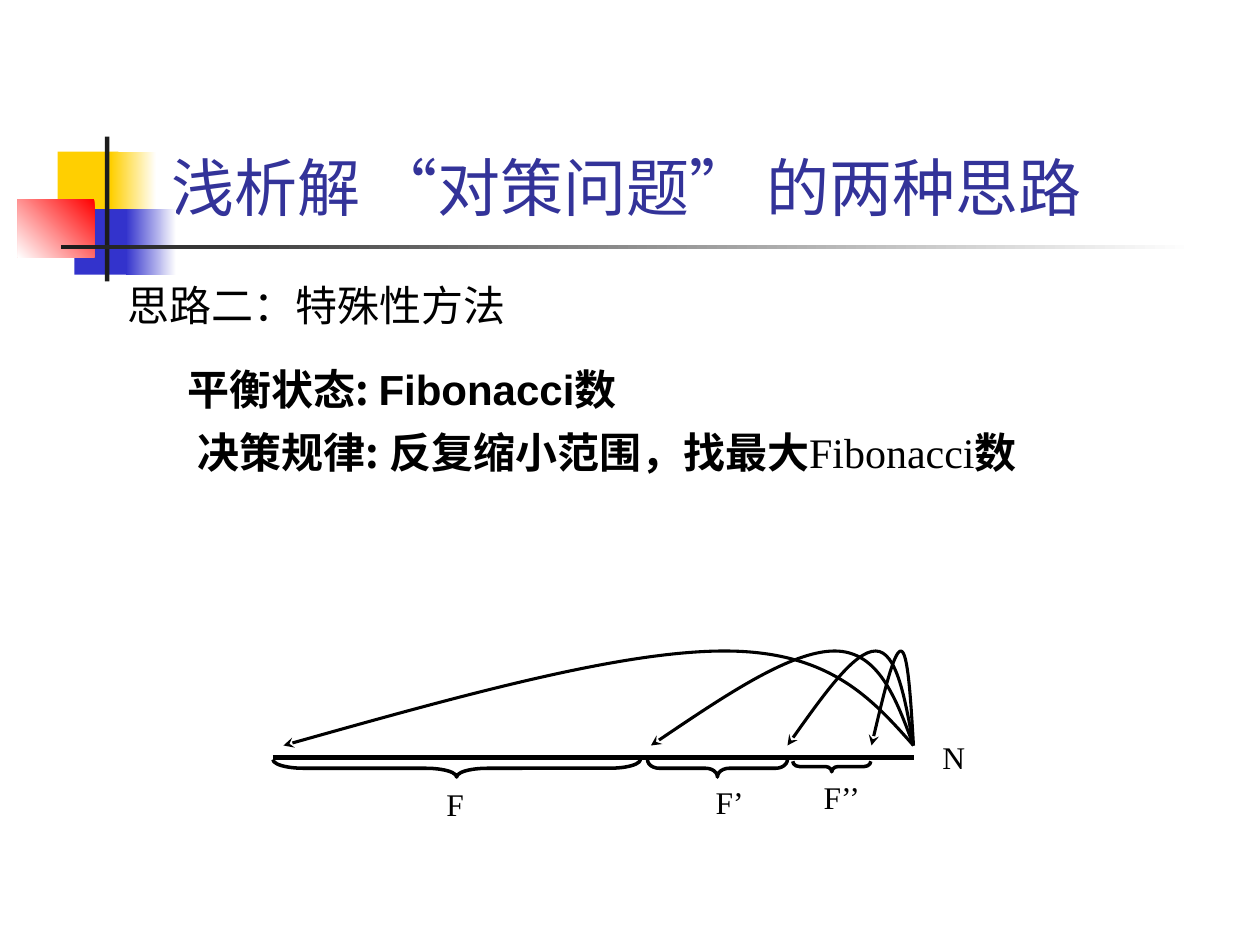
import pptx
import pptx.dml.color
import pptx.enum.dml
import pptx.enum.shapes
import pptx.enum.text
import pptx.oxml
import pptx.oxml.ns
import pptx.util
from pptx.util import Pt

SHAPE = pptx.enum.shapes.MSO_SHAPE
ALIGN = pptx.enum.text.PP_ALIGN
CJK = "Noto Sans CJK SC"
SERIF = "Times New Roman"
BLACK = "000000"


def color(value):
    return pptx.dml.color.RGBColor.from_string(value)


def format_run(run, font, size, fill=BLACK, bold=False):
    run.font.name = font
    run.font.size = Pt(size)
    run.font.bold = bold
    run.font.color.rgb = color(fill)
    east_asian = pptx.oxml.parse_xml(
        f'<a:ea {pptx.oxml.ns.nsdecls("a")} typeface="{CJK}"/>')
    run.font._element.find(pptx.oxml.ns.qn("a:latin")).addnext(east_asian)


def style_line(line, width):
    line.color.rgb = color(BLACK)
    line.width = Pt(width)


def add_text(slide, left, top, width, height, runs, size, align=ALIGN.LEFT, indent=0):
    """Runs are (text, font, bold)."""
    frame = slide.shapes.add_textbox(Pt(left), Pt(top), Pt(width), Pt(height)).text_frame
    frame.word_wrap = True
    paragraph = frame.paragraphs[0]
    paragraph.alignment = align
    if indent:
        paragraph._p.get_or_add_pPr().set("marL", str(Pt(indent)))
    for text, font, bold in runs:
        run = paragraph.add_run()
        run.text = text
        format_run(run, font, size, bold=bold)


def add_block(slide, left, top, width, height, fill, end=None, angle=180):
    """A borderless rectangle, plain or fading from fill to end."""
    shape = slide.shapes.add_shape(SHAPE.RECTANGLE, Pt(left), Pt(top), Pt(width), Pt(height))
    shape.shadow.inherit = False
    shape.line.fill.background()
    if end is None:
        shape.fill.solid()
        shape.fill.fore_color.rgb = color(fill)
    else:
        shape.fill.gradient()
        shape.fill.gradient_angle = angle
        for stop, value in zip(shape.fill.gradient_stops, (fill, end)):
            stop.color.rgb = color(value)


def add_ornament(slide, left, top):
    blocks = [
        (23, 8.6, 34.6, 37.4, "FFCF01"),
        (53.4, 8.6, 25.9, 37.4, "FFFFFF", "FFCF01"),
        (32.5, 41.5, 33.1, 37.4, "3333CC"),
        (62, 41.5, 28.8, 37.4, "FFFFFF", "3333CC"),
        (0, 35.8, 43.9, 33.1, "FF0000", "FFFFFF", 225),
        (50, 0, 2.5, 82.8, "1C1C1C"),
        (24.6, 62, 648, 2.5, "FFFFFF", "1C1C1C"),
    ]
    for x, y, *rest in blocks:
        add_block(slide, left + x, top + y, *rest)


def add_title(slide, left, top, width, height):
    title = slide.shapes.title
    title.left, title.top, title.width, title.height = map(Pt, (left, top, width, height))
    frame = title.text_frame
    frame.text = "浅析解 “对策问题” 的两种思路"
    frame.word_wrap = True
    frame.vertical_anchor = pptx.enum.text.MSO_ANCHOR.BOTTOM
    paragraph = frame.paragraphs[0]
    paragraph.alignment = ALIGN.LEFT
    format_run(paragraph.runs[0], "Karla", 36, "333399")


def add_statements(slide, left, top):
    add_text(slide, left, top, 462, 36, [("思路二：特殊性方法", SERIF, False)], 24)
    add_text(slide, left + 12, top + 48, 570, 36,
             [("平衡状态: ", CJK, True), ("Fibonacci", "Arial", True), ("数", CJK, True)],
             24, indent=22)
    add_text(slide, left + 24, top + 84, 558, 36,
             [("决策规律: 反复缩小范围，找最大", CJK, True), ("Fibonacci", SERIF, False),
              ("数", CJK, True)],
             24, indent=16)


def add_jump(slide, left, top, width, height):
    """An arched arrow from the bottom right to the bottom left of its box."""
    right, middle, bottom = left + width, top + height / 2, top + height
    points = [(right - width * share, y) for share, y in (
        (1 / 15, middle), (2 / 15, top), (0.3, top),
        (7 / 15, top), (11 / 15, middle), (1, bottom))]
    builder = slide.shapes.build_freeform(Pt(right), Pt(bottom))
    builder.add_line_segments([(Pt(x), Pt(y)) for x, y in points], close=False)
    shape = builder.convert_to_shape()
    shape.shadow.inherit = False
    shape.fill.background()
    style_line(shape.line, 1.75)

    segments = list(shape._element.iter(pptx.oxml.ns.qn("a:lnTo")))
    for start in range(0, len(segments), 3):
        curve = pptx.oxml.parse_xml(f'<a:cubicBezTo {pptx.oxml.ns.nsdecls("a")}/>')
        segments[start].addprevious(curve)
        for segment in segments[start:start + 3]:
            curve.append(segment[0])
            segment.getparent().remove(segment)
    shape.line._get_or_add_ln().append(pptx.oxml.parse_xml(
        f'<a:tailEnd {pptx.oxml.ns.nsdecls("a")} type="stealth"/>'))


def add_brace(slide, left, top, length, depth):
    """A horizontal brace that points down."""
    shape = slide.shapes.add_shape(
        SHAPE.LEFT_BRACE, Pt(left + (length - depth) / 2), Pt(top - (length - depth) / 2),
        Pt(depth), Pt(length))
    shape.rotation = 270
    shape.adjustments[0] = length / depth / 12
    shape.shadow.inherit = False
    shape.fill.background()
    style_line(shape.line, 2)


def add_diagram(slide, left, top, width):
    jump_height, axis = 54, top + 60.7
    line = slide.shapes.add_connector(
        pptx.enum.shapes.MSO_CONNECTOR.STRAIGHT,
        Pt(left), Pt(axis), Pt(left + width), Pt(axis))
    style_line(line.line, 2.75)
    line._element.spPr.append(
        pptx.oxml.parse_xml(f'<a:effectLst {pptx.oxml.ns.nsdecls("a")}/>'))

    for landing in (6, 216, 294, 342):
        add_jump(slide, left + landing, top, width - landing, jump_height)
    for x, y, length, depth in ((0, 62, 210, 10), (214, 62, 80, 10), (297, 63, 44.6, 6)):
        add_brace(slide, left + x, top + y, length, depth)
    for text, center, y in (("F", 104, 73), ("F’", 261, 72), ("F’’", 325, 69), ("N", 389, 46)):
        add_text(slide, left + center - 27, top + y, 54, 29,
                 [(text, SERIF, False)], 18, ALIGN.CENTER)


def main():
    presentation = pptx.Presentation()
    presentation.slide_width, presentation.slide_height = Pt(720), Pt(540)
    slide = presentation.slides.add_slide(presentation.slide_layouts[5])
    add_ornament(slide, 10, 78)
    add_title(slide, 90.7, 16.6, 613.4, 115.2)
    add_statements(slide, 66, 156)
    add_diagram(slide, 156, 372, 366)
    presentation.save("out.pptx")


if __name__ == "__main__":
    main()
